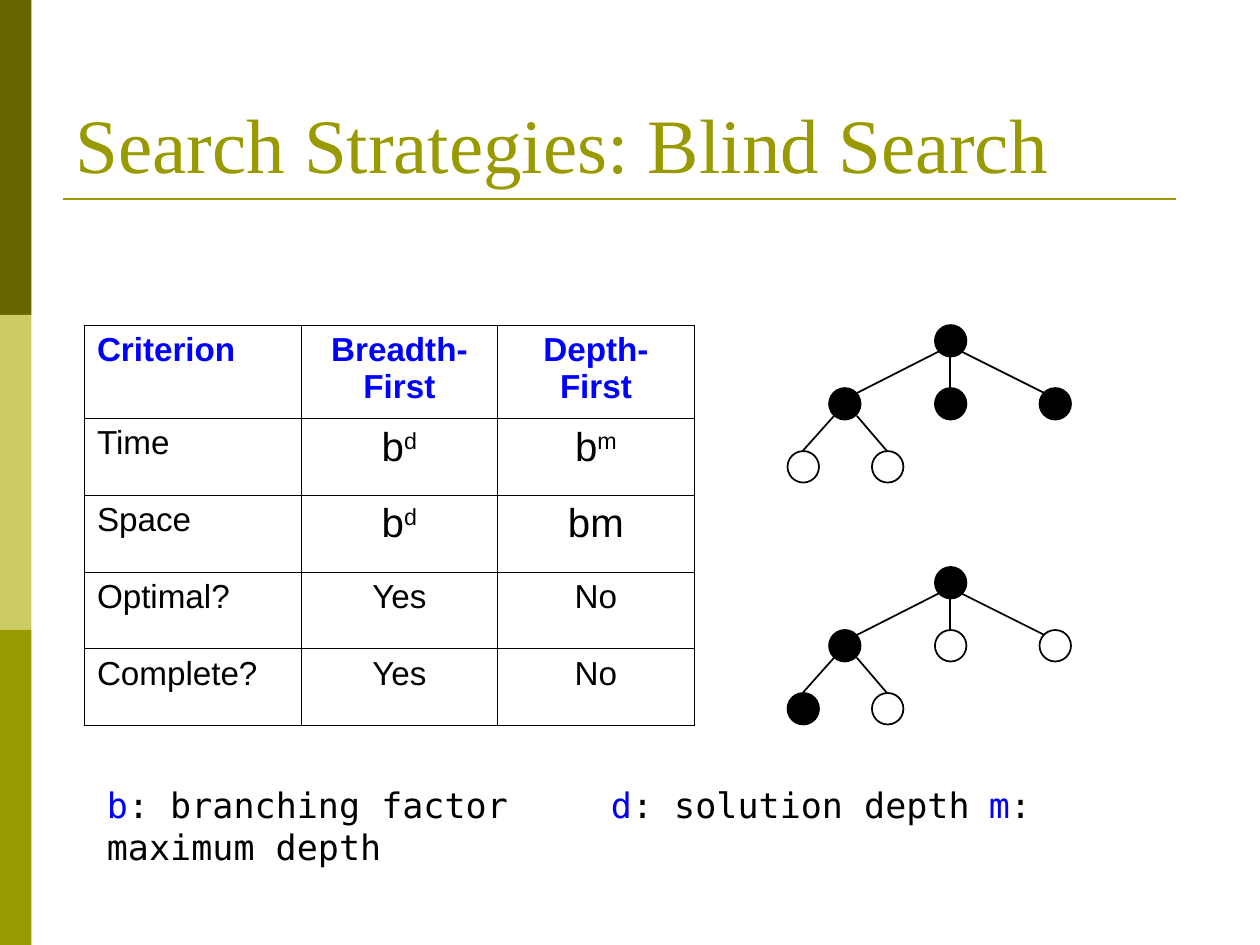
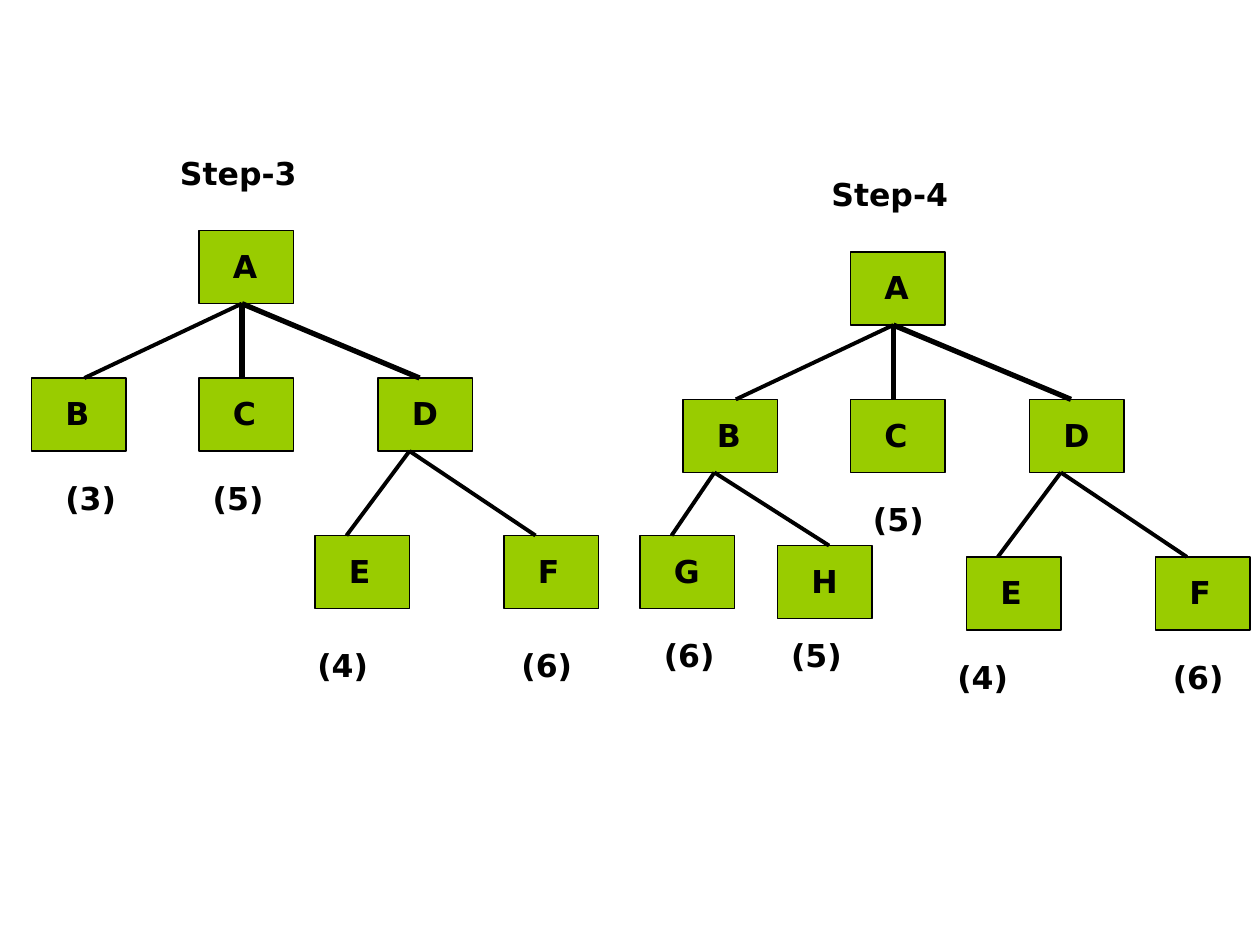
import pptx
import pptx.util
import pptx.dml.color
import pptx.enum.shapes
import pptx.enum.text
import pptx.oxml.ns
from lxml import etree

Inches = pptx.util.Inches
Pt = pptx.util.Pt
KIND = pptx.enum.shapes.MSO_SHAPE
ALIGN = pptx.enum.text.PP_ALIGN
qn = pptx.oxml.ns.qn

HUES = {"olive": "999900", "dark": "666600", "pale": "CCCC66",
        "blue": "0000FF", "black": "000000", "green": "99CC00"}
FORMS = {
    "title": {"size": 44, "name": "Times New Roman", "color": "olive"},
    "head": {"size": 19, "name": "Arial", "color": "blue", "bold": True},
    "cell": {"size": 19, "name": "Arial", "color": "black"},
    "math": {"size": 23, "name": "Arial", "color": "black"},
    "key": {"size": 20, "name": "DejaVu Sans Mono", "color": "blue"},
    "note": {"size": 20, "name": "DejaVu Sans Mono", "color": "black"},
    "node": {"size": 18, "name": "DejaVu Sans", "color": "black", "bold": True},
}

TITLE = "Search Strategies: Blind Search"
BANDS = ["dark", "pale", "olive"]
COLS = [1.72, 1.56, 1.56]
ROWS = [0.74, 0.61, 0.61, 0.61, 0.61]
GRID = [
    [("head", "Criterion"), ("head", "Breadth-First"), ("head", "Depth-First")],
    [("cell", "Time"), ("math", "b", "d"), ("math", "b", "m")],
    [("cell", "Space"), ("math", "b", "d"), ("math", "bm")],
    [("cell", "Optimal?"), ("cell", "Yes"), ("cell", "No")],
    [("cell", "Complete?"), ("cell", "Yes"), ("cell", "No")],
]
LEGEND = [("key", "b"), ("note", ": branching factor\t"),
          ("key", "d"), ("note", ": solution depth\t"),
          ("key", "m"), ("note", ": maximum depth")]

DOTS = [(7.42, 0), (6.58, 0.5), (7.42, 0.5), (8.25, 0.5), (6.25, 1), (6.92, 1)]
TWIGS = [(7.45, 0.21, 6.8, 0.54), (6.62, 0.72, 6.37, 1), (6.8, 0.72, 7.04, 1),
         (7.54, 0.25, 7.54, 0.5), (7.63, 0.21, 8.29, 0.54)]
TREES = [(2.58, {0, 1, 2, 3}), (4.5, {0, 1, 4})]

BOX = (0.75, 0.58)
NODES = {"A": (1.58, 1.83), "B": (0.25, 3), "C": (1.58, 3), "D": (3, 3),
         "E": (2.5, 4.25), "F": (4, 4.25)}
EDGES = [("A", "C", 0.34, 0.34, 3), ("A", "B", 0.34, 0.42, 2.25),
         ("A", "D", 0.34, 0.33, 3), ("D", "E", 0.25, 0.25, 2.25),
         ("D", "F", 0.25, 0.25, 2.25)]
STEPS = [
    {"name": "Step-3", "shift": (0, 0), "nodes": {}, "edges": [],
     "costs": [("(3)\t(5)", 0.42, 3.75, 3.5, 1.17),
               ("(4)\t(6)", 2.42, 5.08, 2.75, 1.62)]},
    {"name": "Step-4", "shift": (5.17, 0.17),
     "nodes": {"G": (5.08, 4.25), "H": (6.17, 4.33)},
     "edges": [("B", "G", 0.25, 0.25, 2.25), ("B", "H", 0.25, 0.41, 2.25)],
     "costs": [("(6)\t(5)", 5.17, 5, 1.92, 1.01),
               ("(4)\t(6)", 7.5, 5.17, 2.5, 1.71),
               ("(5)", 6.83, 3.92, 0.75, None)]},
]


def hue(name):
    return pptx.dml.color.RGBColor.from_string(HUES[name])


def write(para, form, text):
    run = para.add_run()
    run.text = text
    for key, val in FORMS[form].items():
        if key == "color":
            run.font.color.rgb = hue(val)
        else:
            setattr(run.font, key, Pt(val) if key == "size" else val)
    return run


def label(pen, spot, parts, stops=(), anchor="TOP"):
    frame = pen.add_textbox(*map(Inches, spot)).text_frame
    frame.word_wrap = True
    frame.vertical_anchor = getattr(pptx.enum.text.MSO_ANCHOR, anchor)
    para = frame.paragraphs[0]
    if stops:
        tabs = etree.SubElement(para._p.get_or_add_pPr(), qn("a:tabLst"))
        for stop in stops:
            etree.SubElement(tabs, qn("a:tab"), pos=str(Inches(stop)), algn="l")
    for form, text in parts:
        write(para, form, text)


def shape(pen, kind, spot, fill=None, edge=None):
    item = pen.add_shape(kind, *map(Inches, spot))
    item.shadow.inherit = False
    if fill:
        item.fill.solid()
        item.fill.fore_color.rgb = hue(fill)
    else:
        item.fill.background()
    if edge:
        item.line.color.rgb = hue("black")
        item.line.width = Pt(edge)
    else:
        item.line.fill.background()


def line(pen, ends, width, color="black"):
    item = pen.add_connector(pptx.enum.shapes.MSO_CONNECTOR.STRAIGHT,
                             *map(Inches, ends))
    item.line.color.rgb = hue(color)
    item.line.width = Pt(width)
    etree.SubElement(item._element.spPr, qn("a:effectLst"))


def border(cell):
    props = cell._tc.get_or_add_tcPr()
    for spot, side in enumerate(("lnL", "lnR", "lnT", "lnB")):
        rule = etree.Element(qn("a:" + side), w=str(Pt(0.45)))
        fill = etree.SubElement(rule, qn("a:solidFill"))
        etree.SubElement(fill, qn("a:srgbClr"), val=HUES["black"])
        props.insert(spot, rule)


def table(pen):
    grid = pen.add_table(len(ROWS), len(COLS), Inches(0.67), Inches(2.58),
                         Inches(sum(COLS)), Inches(sum(ROWS))).table
    for col, wide in zip(grid.columns, COLS):
        col.width = Inches(wide)
    for row, high in zip(grid.rows, ROWS):
        row.height = Inches(high)
    for r, cells in enumerate(GRID):
        for c, (form, text, *power) in enumerate(cells):
            cell = grid.cell(r, c)
            cell.fill.background()
            border(cell)
            para = cell.text_frame.paragraphs[0]
            para.alignment = ALIGN.CENTER if c else ALIGN.LEFT
            write(para, form, text)
            for mark in power:
                write(para, form, mark).font._element.set("baseline", "30000")


def blind(pen):
    for i, band in enumerate(BANDS):
        shape(pen, KIND.RECTANGLE, (0, 2.5 * i, 0.25, 2.5), band)
    line(pen, (0.5, 1.58, 9.33, 1.58), 1.5, "olive")
    label(pen, (0.5, 0.3, 9, 1.25), [("title", TITLE)], anchor="BOTTOM")
    for top, seen in TREES:
        for i, (x, y) in enumerate(DOTS):
            shape(pen, KIND.OVAL, (x, top + y, 0.25, 0.25),
                  "black" if i in seen else None, 1)
        for x, y, right, low in TWIGS:
            line(pen, (x, top + y, right, top + low), 1)
    table(pen)
    label(pen, (0.75, 6.17, 8.58, 0.77), LEGEND, (4, 7))


def best(pen, step):
    dx, dy = step["shift"]
    nodes = {key: (x + dx, y + dy) for key, (x, y) in NODES.items()}
    nodes.update(step["nodes"])
    for key, (x, y) in nodes.items():
        shape(pen, KIND.RECTANGLE, (x, y, *BOX), "green", 0.75)
        label(pen, (x + 0.17, y + 0.08, 0.58, 0.4), [("node", key)])
    for top, low, out, into, width in EDGES + step["edges"]:
        (x, y), (right, end) = nodes[top], nodes[low]
        line(pen, (x + out, y + BOX[1], right + into, end), width)
    label(pen, (1.33 + dx, 1.17 + dy, 1.75, 0.4), [("node", step["name"])])
    for text, x, y, wide, stop in step["costs"]:
        label(pen, (x, y, wide, 0.4), [("node", text)], [stop] if stop else ())


def main():
    deck = pptx.Presentation()
    deck.slide_width, deck.slide_height = Inches(10), Inches(7.5)
    first, second = [deck.slides.add_slide(deck.slide_layouts[6]) for _ in range(2)]
    blind(first.shapes)
    for step in STEPS:
        best(second.shapes.add_group_shape().shapes, step)
    deck.save("out.pptx")


if __name__ == "__main__":
    main()
